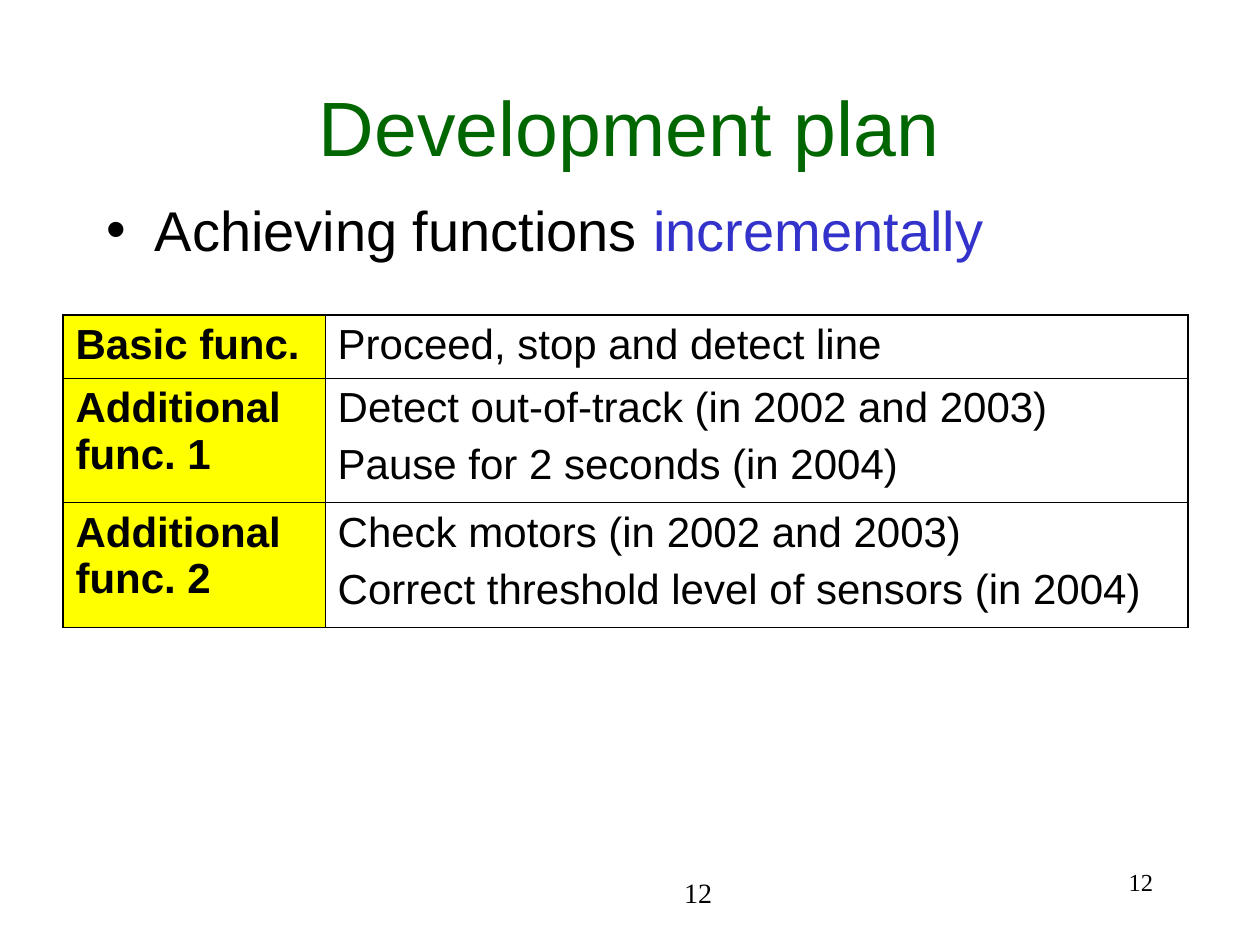
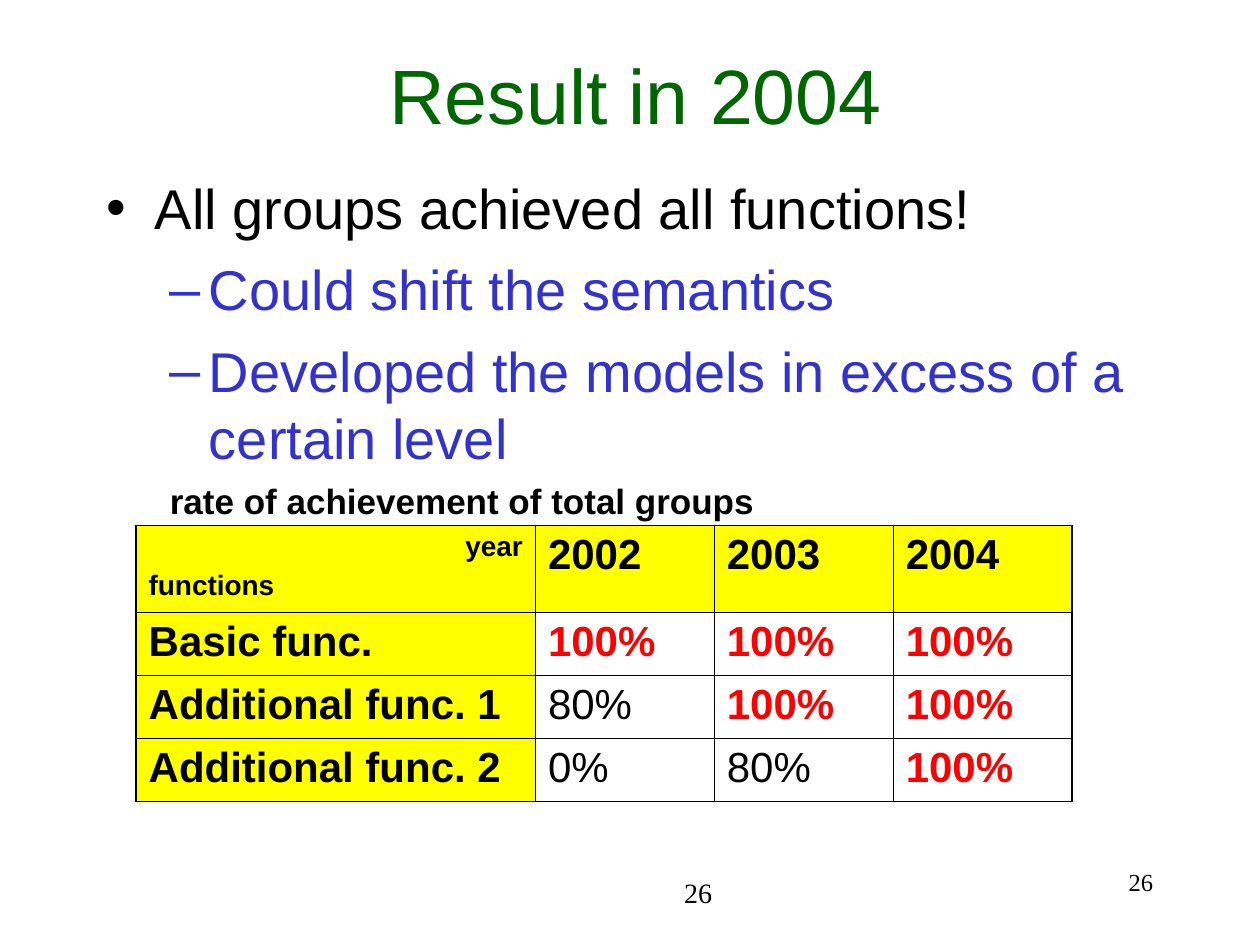
from lxml import etree
from pptx import Presentation
from pptx.dml.color import RGBColor
from pptx.enum.text import MSO_ANCHOR, PP_ALIGN
from pptx.oxml.ns import qn
from pptx.util import Inches, Pt

LEFT, CENTER, RIGHT = PP_ALIGN.LEFT, PP_ALIGN.CENTER, PP_ALIGN.RIGHT
TOP, MIDDLE = MSO_ANCHOR.TOP, MSO_ANCHOR.MIDDLE

BLACK = RGBColor(0x00, 0x00, 0x00)
WHITE = RGBColor(0xFF, 0xFF, 0xFF)
GREEN = RGBColor(0x00, 0x66, 0x00)
BLUE = RGBColor(0x33, 0x33, 0xCC)
RED = RGBColor(0xFF, 0x00, 0x00)
YELLOW = RGBColor(0xFF, 0xFF, 0x00)
SANS, SERIF = "Arial", "Times New Roman"

OUTER_LINE, INNER_LINE = 1.08, 0.45
CELL_SIZE, CORNER_SIZE = 24, 16
FULL_RATE = "100%"

BULLETS = {
    "point": dict(mark="•", indent=(0.38, -0.38), size=32, before=8),
    "detail": dict(mark="–", indent=(0.81, -0.31), size=32, before=8),
    "caption": dict(indent=(0.81, -0.31), size=20, before=5, bold=True),
}

SLIDES = [
    dict(
        number="12",
        title="Development plan",
        title_box=(0.33, 0.58, 9.33, 0.83),
        body_box=(0.75, 1.5, 8.5, 1.83),
        body=[("point", [("Achieving functions ", BLACK), ("incrementally", BLUE)])],
        table_at=(0.5, 2.5),
        columns=[2.08, 6.85],
        heights=[0.5, 0.99, 0.99],
        header_rows=0,
        rows=[
            [["Basic func."], ["Proceed, stop and detect line"]],
            [["Additional func. 1"],
             ["Detect out-of-track (in 2002 and 2003)", "Pause for 2 seconds (in 2004)"]],
            [["Additional func. 2"],
             ["Check motors (in 2002 and 2003)",
              "Correct threshold level of sensors (in 2004)"]],
        ],
    ),
    dict(
        number="26",
        title="Result in 2004",
        title_box=(1.92, 0.33, 6.25, 0.83),
        body_box=(0.75, 1.33, 8.5, 4.67),
        body=[
            ("point", [("All groups achieved all functions!", BLACK)]),
            ("detail", [("Could shift the semantics", BLUE)]),
            ("detail", [("Developed the models in excess of a certain level", BLUE)]),
            ("caption", [("rate of achievement of total groups", BLACK)]),
        ],
        table_at=(1.08, 4.17),
        columns=[3.17] + [1.42] * 3,
        heights=[0.69] + [0.5] * 3,
        header_rows=1,
        rows=[
            [["year", "functions"], ["2002"], ["2003"], ["2004"]],
            [["Basic func."], ["100%"], ["100%"], ["100%"]],
            [["Additional func. 1"], ["80%"], ["100%"], ["100%"]],
            [["Additional func. 2"], ["0%"], ["80%"], ["100%"]],
        ],
    ),
]


def write(frame, text, *, size, color=BLACK, font=SANS, bold=False, align=LEFT,
          before=0, mark=None, indent=None):
    segments = [(text, color)] if isinstance(text, str) else text
    first = not frame.paragraphs[0].runs
    paragraph = frame.paragraphs[0] if first else frame.add_paragraph()
    paragraph.alignment = align
    paragraph.space_before = Pt(0 if first else before)
    if indent:
        properties = paragraph._p.get_or_add_pPr()
        properties.set("marL", str(Inches(indent[0])))
        properties.set("indent", str(Inches(indent[1])))
        if mark:
            mark_color = etree.SubElement(properties, qn("a:buClr"))
            etree.SubElement(mark_color, qn("a:srgbClr"), val=str(segments[0][1]))
            etree.SubElement(properties, qn("a:buFont"), typeface=font)
            etree.SubElement(properties, qn("a:buChar"), char=mark)
        else:
            etree.SubElement(properties, qn("a:buNone"))
    for words, words_color in segments:
        run = paragraph.add_run()
        run.text = words
        run.font.name = font
        run.font.size = Pt(size)
        run.font.bold = bold
        run.font.color.rgb = words_color


def add_frame(slide, box, anchor=TOP):
    frame = slide.shapes.add_textbox(*map(Inches, box)).text_frame
    frame.word_wrap = True
    frame.vertical_anchor = anchor
    return frame


def rule_cell(cell, widths):
    properties = cell._tc.get_or_add_tcPr()
    for side, width in zip("LRTB", widths):
        line = etree.SubElement(properties, qn(f"a:ln{side}"), w=str(Pt(width)))
        fill = etree.SubElement(line, qn("a:solidFill"))
        etree.SubElement(fill, qn("a:srgbClr"), val=str(BLACK))


def add_functions_table(slide, content):
    rows, columns, heights = content["rows"], content["columns"], content["heights"]
    left, top = content["table_at"]
    table = slide.shapes.add_table(
        len(rows), len(columns), Inches(left), Inches(top),
        Inches(sum(columns)), Inches(sum(heights))).table
    table.first_row = table.horz_banding = False
    for column, width in zip(table.columns, columns):
        column.width = Inches(width)
    for row, height in zip(table.rows, heights):
        row.height = Inches(height)

    for r, row in enumerate(rows):
        for c, lines in enumerate(row):
            cell = table.cell(r, c)
            on_edge = (c == 0, c == len(columns) - 1, r == 0, r == len(rows) - 1)
            rule_cell(cell, [OUTER_LINE if edge else INNER_LINE for edge in on_edge])
            heading = c == 0 or r < content["header_rows"]
            corner = c == 0 and r < content["header_rows"]
            full = lines == [FULL_RATE]
            cell.fill.solid()
            cell.fill.fore_color.rgb = YELLOW if heading else WHITE
            for i, line in enumerate(lines):
                write(cell.text_frame, line,
                      size=CORNER_SIZE if corner else CELL_SIZE,
                      color=RED if full else BLACK,
                      bold=heading or full,
                      align=RIGHT if corner and i == 0 else LEFT,
                      before=4 if corner else 6)


def build_slide(deck, content):
    slide = deck.slides.add_slide(deck.slide_layouts[6])
    write(add_frame(slide, (4.42, 6.92, 1.33, 0.33), MIDDLE), content["number"],
          size=16, font=SERIF, align=RIGHT)
    write(add_frame(slide, content["title_box"], MIDDLE), content["title"],
          size=44, color=GREEN, align=CENTER)
    body = add_frame(slide, content["body_box"])
    for level, segments in content["body"]:
        write(body, segments, **BULLETS[level])
    add_functions_table(slide, content)
    write(add_frame(slide, (7.17, 6.83, 2.08, 0.5)), content["number"],
          size=14, font=SERIF, align=RIGHT)


def main():
    deck = Presentation()
    deck.slide_width, deck.slide_height = Inches(10), Inches(7.5)
    for content in SLIDES:
        build_slide(deck, content)
    deck.save("out.pptx")


if __name__ == "__main__":
    main()
